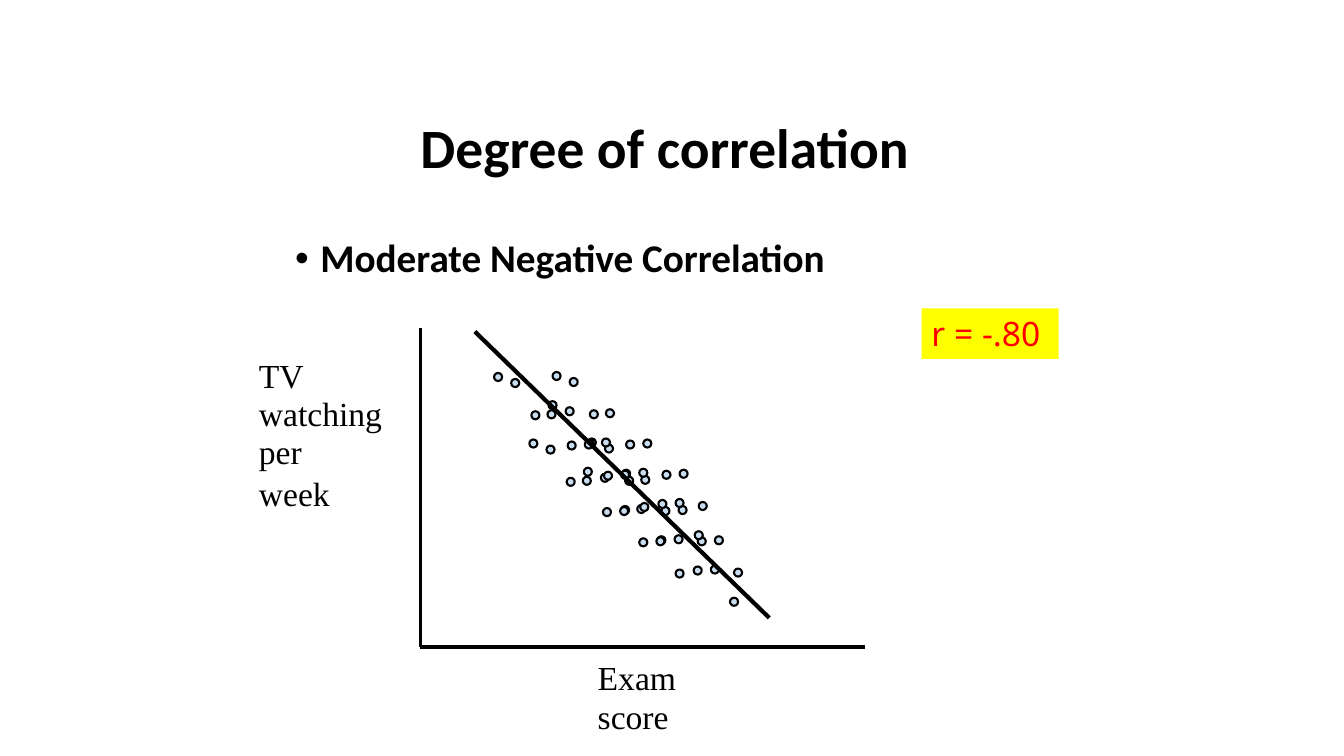
from dataclasses import dataclass
from typing import NamedTuple

from lxml import etree
from pptx import Presentation
from pptx import util as u
from pptx.dml.color import RGBColor
from pptx.enum import shapes, text
from pptx.oxml import ns

SCALE = 9144


def px(n: int) -> u.Emu:
    return u.Emu(n * SCALE)


@dataclass(frozen=True)
class Theme:
    ink: str = "000000"
    dot: str = "C9DDF1"
    mark: str = "FFFF00"
    alert: str = "FF0000"
    sans: str = "Calibri"
    serif: str = "Times New Roman"
    note: str = "Noto Sans"
    title: float = 39.6
    head: float = 28
    label: float = 24
    thin: float = 2.25
    thick: float = 3
    edge: float = 1.5
    tight: float = 0.95


THEME = Theme()


class Point(NamedTuple):
    x: int
    y: int


class Box(NamedTuple):
    x: int
    y: int
    w: int
    h: int


class Line(NamedTuple):
    start: Point
    end: Point
    width: float


@dataclass(frozen=True)
class Label:
    box: Box
    lines: tuple[str, ...]
    font: str
    size: float
    bold: bool = False
    wrap: bool = True
    bullet: bool = False


ORIGIN = Point(417, 642)
AXES = (
    Line(Point(417, 325), ORIGIN, THEME.thin),
    Line(ORIGIN, Point(858, 642), THEME.thick),
)
TREND = Line(Point(763, 613), Point(471, 329), THEME.thick)

DOT = 8
BANDS = (Point(0, 0), Point(-35, -66))
STARTS = (Point(724, 593), Point(728, 564), Point(670, 565))
STEPS = (
    Point(0, 0), Point(-19, -32), Point(-36, -31),
    Point(-55, -62), Point(-72, -61), Point(-92, -92),
    Point(-108, -91), Point(-128, -123), Point(-145, -129),
)

LABELS = (
    Label(Box(283, 230, 850, 83), ("Moderate Negative Correlation",),
          THEME.sans, THEME.head, bold=True, bullet=True),
    Label(Box(583, 650, 176, 50), ("Exam score",),
          THEME.serif, THEME.label, wrap=False),
    Label(Box(247, 350, 153, 170), ("TV watching per", "week"),
          THEME.serif, THEME.label),
)


def style(para, font: str, size: float, color: str, bold: bool = False) -> None:
    para.alignment = text.PP_ALIGN.LEFT
    para.font.name = font
    para.font.size = u.Pt(size)
    para.font.bold = bold
    para.font.color.rgb = RGBColor.from_string(color)


def add_bullet(para) -> None:
    props = para._p.get_or_add_pPr()
    props.set("marL", str(px(25)))
    props.set("indent", str(px(-25)))
    face = etree.SubElement(props, ns.qn("a:buFont"))
    face.set("typeface", "Arial")
    mark = etree.SubElement(props, ns.qn("a:buChar"))
    mark.set("char", "•")
    fonts = props.find(ns.qn("a:defRPr"))
    if fonts is not None:
        props.append(fonts)


def draw_title(slide, words: str) -> None:
    title = slide.shapes.title
    title.left, title.top, title.width, title.height = map(px, Box(283, 109, 850, 78))
    frame = title.text_frame
    frame.text = words
    frame.margin_left = px(134)
    frame.auto_size = text.MSO_AUTO_SIZE.NONE
    frame.vertical_anchor = text.MSO_ANCHOR.MIDDLE
    para = frame.paragraphs[0]
    style(para, THEME.sans, THEME.title, THEME.ink, True)
    para.line_spacing = THEME.tight


def draw_label(slide, label: Label) -> None:
    frame = slide.shapes.add_textbox(*map(px, label.box)).text_frame
    frame.word_wrap = label.wrap
    frame.text = "\n".join(label.lines)
    for para in frame.paragraphs:
        style(para, label.font, label.size, THEME.ink, label.bold)
    frame.paragraphs[0].line_spacing = THEME.tight
    if label.bullet:
        add_bullet(frame.paragraphs[0])


def draw_line(group, line: Line) -> None:
    link = group.add_connector(
        shapes.MSO_CONNECTOR.STRAIGHT, *map(px, line.start + line.end))
    link.line.color.rgb = RGBColor.from_string(THEME.ink)
    link.line.width = u.Pt(line.width)
    etree.SubElement(link._element.spPr, ns.qn("a:effectLst"))


def draw_dot(group, x: int, y: int) -> None:
    dot = group.add_shape(shapes.MSO_SHAPE.OVAL, *map(px, Box(x, y, DOT, DOT)))
    dot.shadow.inherit = False
    dot.fill.solid()
    dot.fill.fore_color.rgb = RGBColor.from_string(THEME.dot)
    dot.line.color.rgb = RGBColor.from_string(THEME.ink)
    dot.line.width = u.Pt(THEME.edge)


def draw_cloud(slide) -> None:
    group = slide.shapes.add_group_shape().shapes
    for band in BANDS:
        for start in STARTS:
            for step in STEPS:
                draw_dot(group, band.x + start.x + step.x,
                         band.y + start.y + step.y)
    draw_line(group, TREND)


def draw_score(slide, words: str) -> None:
    tag = slide.shapes.add_shape(
        shapes.MSO_SHAPE.RECTANGLE, *map(px, Box(914, 306, 136, 50)))
    tag.shadow.inherit = False
    tag.fill.solid()
    tag.fill.fore_color.rgb = RGBColor.from_string(THEME.mark)
    tag.line.fill.background()
    frame = tag.text_frame
    frame.word_wrap = False
    frame.vertical_anchor = text.MSO_ANCHOR.TOP
    frame.text = words
    style(frame.paragraphs[0], THEME.note, THEME.label, THEME.alert)


def main() -> None:
    deck = Presentation()
    deck.slide_width, deck.slide_height = px(1333), px(750)
    slide = deck.slides.add_slide(deck.slide_layouts.get_by_name("Title Only"))
    draw_title(slide, "Degree of correlation")
    for axis in AXES:
        draw_line(slide.shapes, axis)
    for label in LABELS:
        draw_label(slide, label)
    draw_cloud(slide)
    draw_score(slide, "r = -.80")
    deck.save("out.pptx")


if __name__ == "__main__":
    main()
